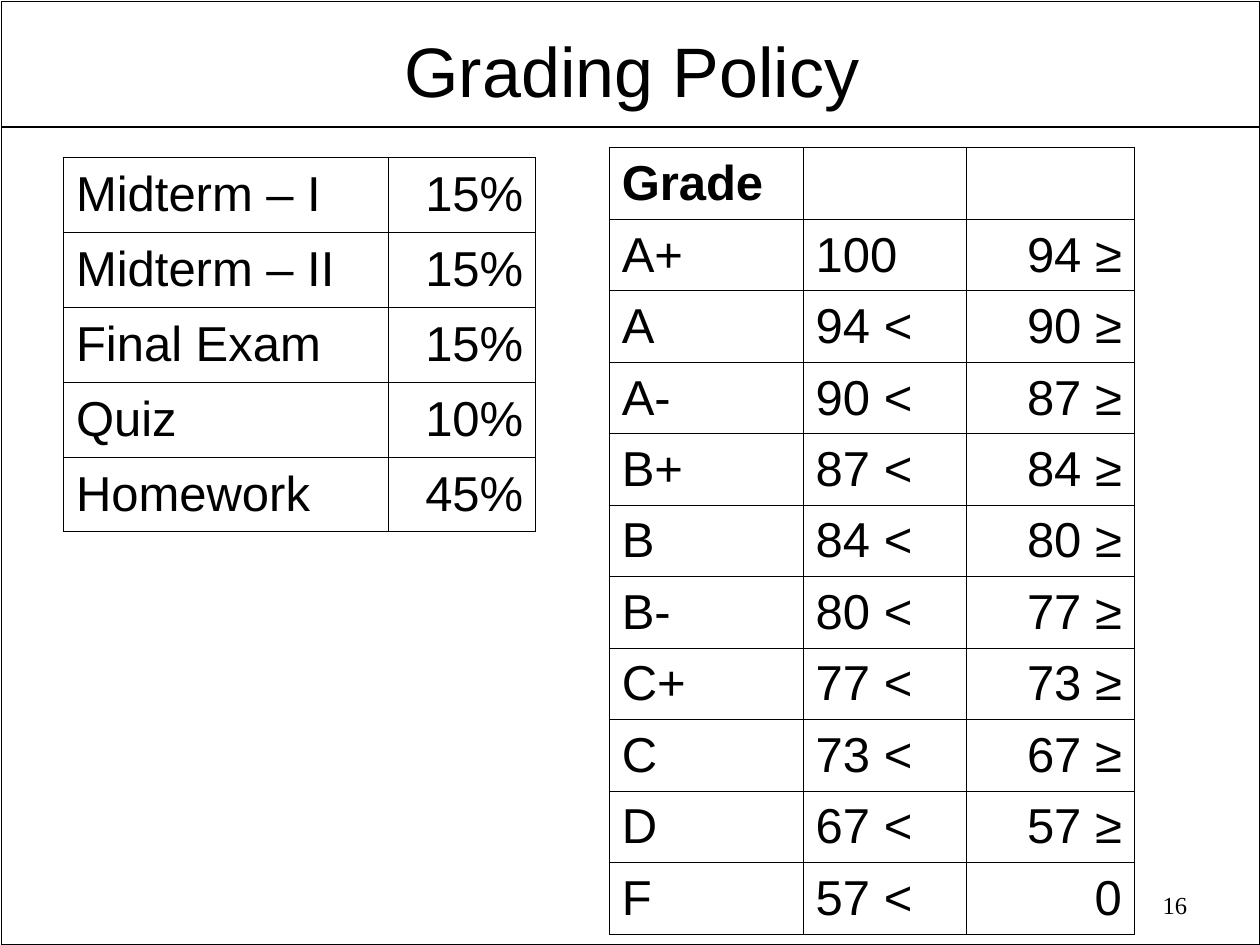
from lxml import etree
from pptx import Presentation
from pptx import util as u
from pptx.dml import color
from pptx.enum import shapes, text
from pptx.oxml import ns

BLACK = "000000"
LEFT, CENTER, RIGHT = text.PP_ALIGN.LEFT, text.PP_ALIGN.CENTER, text.PP_ALIGN.RIGHT
rgb = color.RGBColor.from_string


def write(para, words, font, size, align, bold=False):
    para.text = words
    para.alignment = align
    para.font.name = font
    para.font.size = u.Pt(size)
    para.font.bold = bold
    para.font.color.rgb = rgb(BLACK)


deck = Presentation()
deck.slide_width, deck.slide_height = u.Cm(25.4), u.Cm(19.05)
page = deck.slides.add_slide(deck.slide_layouts[6])

# Page frame and the rule under the title
frame = page.shapes.add_shape(
    shapes.MSO_SHAPE.RECTANGLE, u.Cm(0.03), u.Cm(0.03), u.Cm(25.37), u.Cm(19.02))
frame.shadow.inherit = False
frame.fill.background()
rule = page.shapes.add_connector(
    shapes.MSO_CONNECTOR.STRAIGHT, u.Cm(0.03), u.Cm(2.56), u.Cm(25.37), u.Cm(2.56))
etree.SubElement(rule.element.spPr, ns.qn("a:effectLst"))
for outline in (frame.line, rule.line):
    outline.color.rgb = rgb(BLACK)
    outline.width = u.Pt(1)

# Page number and title: place, insets, words, font, size, alignment
labels = [
    ((18.24, 17.81, 5.94, 0.91), (0.25, 0.13), "16", "Times New Roman", 14, RIGHT),
    ((1.35, 0.48, 22.78, 1.83), (0.18, 0.08), "Grading Policy", "Arial", 40, CENTER),
]
for place, (side, edge), words, font, size, align in labels:
    box = page.shapes.add_textbox(*map(u.Cm, place))
    body = box.text_frame
    body.word_wrap = True
    body.margin_left = body.margin_right = u.Cm(side)
    body.margin_top = body.margin_bottom = u.Cm(edge)
    write(body.paragraphs[0], words, font, size, align)

# Course work weights, and grade bands running from one cutoff to the next
weights = [
    ("Midterm – I", "15%"),
    ("Midterm – II", "15%"),
    ("Final Exam", "15%"),
    ("Quiz", "10%"),
    ("Homework", "45%"),
]
grades = ["A+", "A", "A-", "B+", "B", "B-", "C+", "C", "D", "F"]
cutoffs = [94, 90, 87, 84, 80, 77, 73, 67, 57]
uppers = ["100"] + [f"{cutoff} <" for cutoff in cutoffs]
lowers = [f"{cutoff} ≥" for cutoff in cutoffs] + ["0"]
bands = [("Grade", "", "")] + list(zip(grades, uppers, lowers))

# Tables: left, top, column widths, row height, rows
tables = [
    (1.28, 3.17, (6.55, 2.97), 1.51, weights),
    (12.28, 2.98, (3.91, 3.29, 3.39), 1.44, bands),
]
for left, top, widths, height, rows in tables:
    table = page.shapes.add_table(
        len(rows), len(widths), u.Cm(left), u.Cm(top),
        u.Cm(sum(widths)), u.Cm(height * len(rows))).table
    table.first_row = table.horz_banding = False
    for column, width in zip(table.columns, widths):
        column.width = u.Cm(width)
    for row, entries in zip(table.rows, rows):
        row.height = u.Cm(height)
        for index, (cell, words) in enumerate(zip(row.cells, entries)):
            cell.vertical_anchor = text.MSO_ANCHOR.MIDDLE
            align = RIGHT if index == len(widths) - 1 else LEFT
            write(cell.text_frame.paragraphs[0], words, "Arial", 28, align,
                  bold=words == "Grade")
            # Thin border on all four sides
            properties = cell._tc.get_or_add_tcPr()
            for side in ("lnL", "lnR", "lnT", "lnB"):
                border = etree.SubElement(
                    properties, ns.qn(f"a:{side}"), w=str(u.Pt(0.45)))
                solid = etree.SubElement(border, ns.qn("a:solidFill"))
                etree.SubElement(solid, ns.qn("a:srgbClr"), val=BLACK)
            cell.fill.background()

deck.save("out.pptx")
